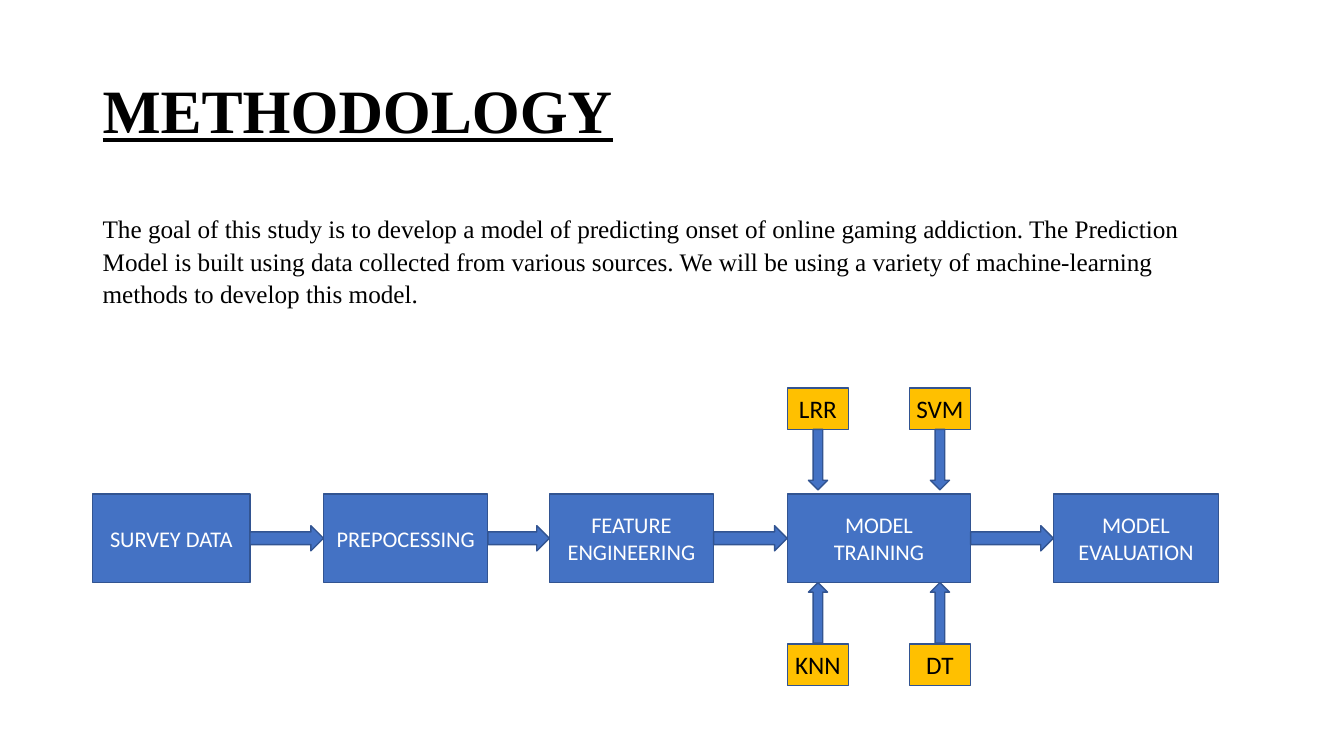
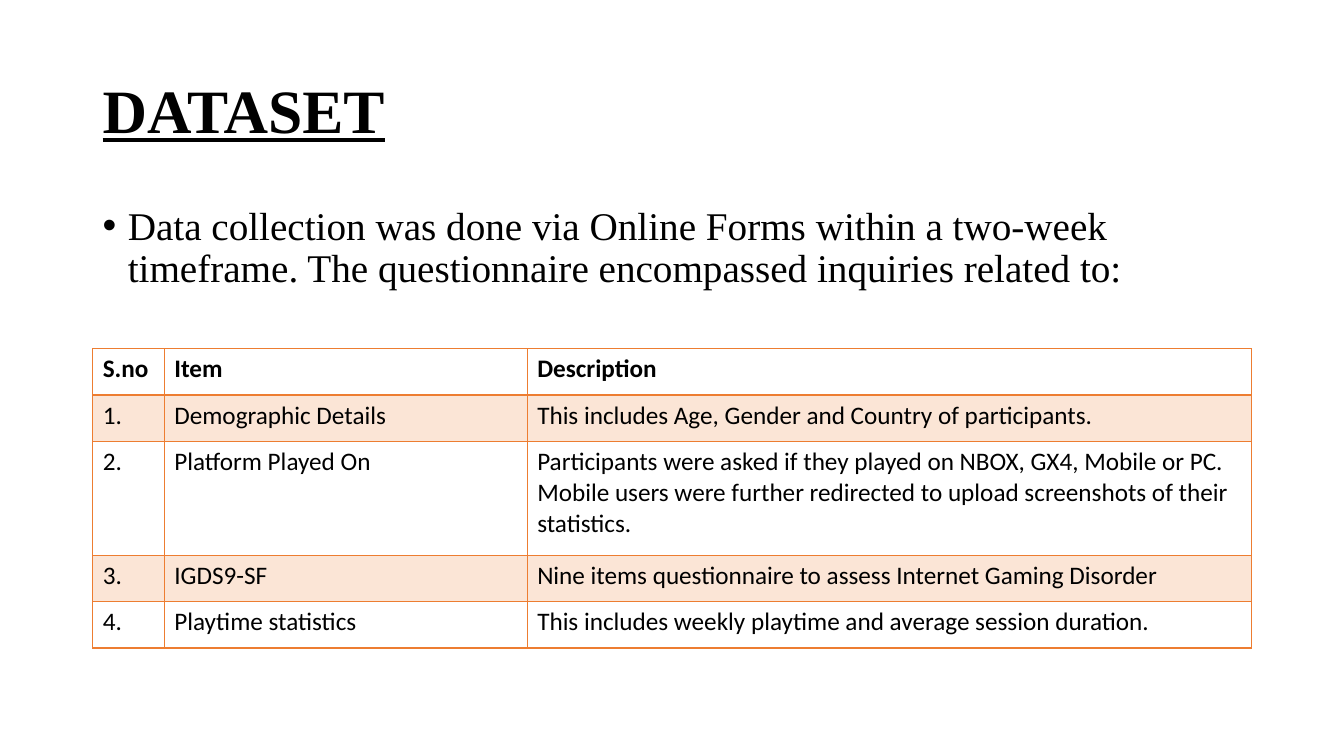
from lxml.etree import SubElement
from pptx import Presentation
from pptx.dml.color import RGBColor
from pptx.enum.shapes import MSO_SHAPE as Shape
from pptx.enum.text import MSO_ANCHOR as Anchor, PP_ALIGN as Align
from pptx.oxml.ns import qn
from pptx.util import Pt

PX = 9144  # 100 px to the inch
SERIF, SANS = "Times New Roman", "Calibri"
BLACK, WHITE = "000000", "FFFFFF"
BLUE, NAVY, GOLD = "4472C4", "325491", "FFC000"
ORANGE, PEACH = "ED7D31", "FBE5D6"
LEFT, WIDE = 92, 1150

GOAL = ("The goal of this study is to develop a model of predicting onset of "
        "online gaming addiction. The Prediction Model is built using data "
        "collected from various sources. We will be using a variety of "
        "machine-learning methods to develop this model.")
STEPS = [  # label, left, width
    ("SURVEY DATA", 92, 156),
    ("PREPOCESSING", 321, 163),
    ("FEATURE\nENGINEERING", 545, 163),
    ("MODEL\nTRAINING", 781, 182),
    ("MODEL\nEVALUATION", 1045, 164),
]
STEP_Y, STEP_H = 490, 88
TRAIN = 3  # the step that the methods feed
METHODS = [("LRR", "SVM"), ("KNN", "DT")]  # above, below
CHIP_W, CHIP_H, CHIP_YS = 61, 41, (385, 639)
ARROW_H, STEM_W, STEM_H = 25, 19, 60

INTRO = ("Data collection was done via Online Forms within a two-week "
         "timeframe. The questionnaire encompassed inquiries related to:")
COLS = [71, 360, 719]
ROWS = [
    (46, "S.no", "Item", "Description"),
    (46, "1.", "Demographic Details",
     "This includes Age, Gender and Country of participants."),
    (113, "2.", "Platform Played On",
     "Participants were asked if they played on NBOX, GX4, Mobile or PC. "
     "Mobile users were further redirected to upload screenshots of their "
     "statistics."),
    (46, "3.", "IGDS9-SF",
     "Nine items questionnaire to assess Internet Gaming Disorder"),
    (46, "4.", "Playtime statistics",
     "This includes weekly playtime and average session duration."),
]


def color(code):
    return RGBColor.from_string(code)


def px(*nums):
    return [round(n * PX) for n in nums]


def write(frame, text, size=18, font=SANS, ink=BLACK, bold=False, under=False,
          align=Align.LEFT, lead=1.0, before=0, after=0, bullet=False):
    """Fill a text frame, one paragraph for each line of text."""
    frame.word_wrap = True
    for i, line in enumerate(text.split("\n")):
        par = frame.add_paragraph() if i else frame.paragraphs[0]
        par.alignment, par.line_spacing = align, lead
        par.space_before, par.space_after = Pt(before), Pt(after)
        if bullet:
            props = par._p.get_or_add_pPr()
            props.set("marL", str(25 * PX))
            props.set("indent", str(-25 * PX))
            SubElement(props, qn("a:buFont"), typeface="Arial")
            SubElement(props, qn("a:buChar"), char="•")
        run = par.add_run()
        run.text = line
        face = run.font
        face.size, face.name = Pt(size), font
        face.bold, face.underline = bold, under
        face.color.rgb = color(ink)


def label(slide, box, text, anchor=Anchor.TOP, **style):
    frame = slide.shapes.add_textbox(*px(*box)).text_frame
    frame.vertical_anchor = anchor
    write(frame, text, font=SERIF, **style)


def block(slide, kind, box, fill=BLUE, text="", **style):
    shape = slide.shapes.add_shape(kind, *px(*box))
    shape.shadow.inherit = False
    shape.fill.solid()
    shape.fill.fore_color.rgb = color(fill)
    shape.line.color.rgb = color(NAVY)
    shape.line.width = Pt(1)
    if text:
        frame = shape.text_frame
        frame.margin_left = frame.margin_right = 0
        frame.margin_top = frame.margin_bottom = 0
        frame.vertical_anchor = Anchor.MIDDLE
        write(frame, text, align=Align.CENTER, **style)


def edge(cell, side, width):
    """Draw one border of a cell; side is L, R, T or B."""
    line = SubElement(cell._tc.get_or_add_tcPr(), qn("a:ln" + side),
                      w=str(Pt(width)))
    SubElement(SubElement(line, qn("a:solidFill")), qn("a:srgbClr"),
               val=ORANGE)


def page(deck, title):
    slide = deck.slides.add_slide(deck.slide_layouts[6])
    label(slide, (LEFT, 40, WIDE, 145), title, Anchor.MIDDLE,
          size=44, bold=True, under=True, lead=0.9)
    return slide


def flow(slide):
    mid = STEP_Y + STEP_H / 2
    for text, x, w in STEPS:
        block(slide, Shape.RECTANGLE, (x, STEP_Y, w, STEP_H),
              text=text, size=16, ink=WHITE)
    for (_, x, w), (_, end, _) in zip(STEPS, STEPS[1:]):
        block(slide, Shape.RIGHT_ARROW,
              (x + w, mid - ARROW_H / 2, end - x - w, ARROW_H))

    _, x, w = STEPS[TRAIN]
    stems = [(Shape.DOWN_ARROW, CHIP_YS[0] + CHIP_H),
             (Shape.UP_ARROW, STEP_Y + STEP_H)]
    for names, y, (kind, top) in zip(METHODS, CHIP_YS, stems):
        for name, left in zip(names, (x, x + w - CHIP_W)):
            block(slide, Shape.RECTANGLE, (left, y, CHIP_W, CHIP_H),
                  GOLD, name)
            block(slide, kind,
                  (left + (CHIP_W - STEM_W) / 2, top, STEM_W, STEM_H))


def grid(slide):
    tall = sum(row[0] for row in ROWS)
    table = slide.shapes.add_table(
        len(ROWS), len(COLS), *px(LEFT, 346, WIDE, tall)).table
    for col, w in zip(table.columns, COLS):
        col.width = w * PX
    for r, (h, *texts) in enumerate(ROWS):
        table.rows[r].height = h * PX
        for c, text in enumerate(texts):
            cell = table.cell(r, c)
            for side in "LRTB":
                thick = (r, side) in ((0, "B"), (1, "T"))
                edge(cell, side, 2 if thick else 1)
            cell.fill.solid()
            cell.fill.fore_color.rgb = color(PEACH if r % 2 else WHITE)
            write(cell.text_frame, text, bold=r == 0)


def main():
    deck = Presentation()
    deck.slide_width, deck.slide_height = px(1333.33, 750)

    slide = page(deck, "METHODOLOGY")
    label(slide, (LEFT, 205, WIDE, 120), GOAL,
          lead=1.07, before=10, after=8)
    flow(slide)

    slide = page(deck, "DATASET")
    label(slide, (LEFT, 200, WIDE, 120), INTRO,
          size=28, lead=0.9, before=10, bullet=True)
    grid(slide)

    deck.save("out.pptx")


if __name__ == "__main__":
    main()
